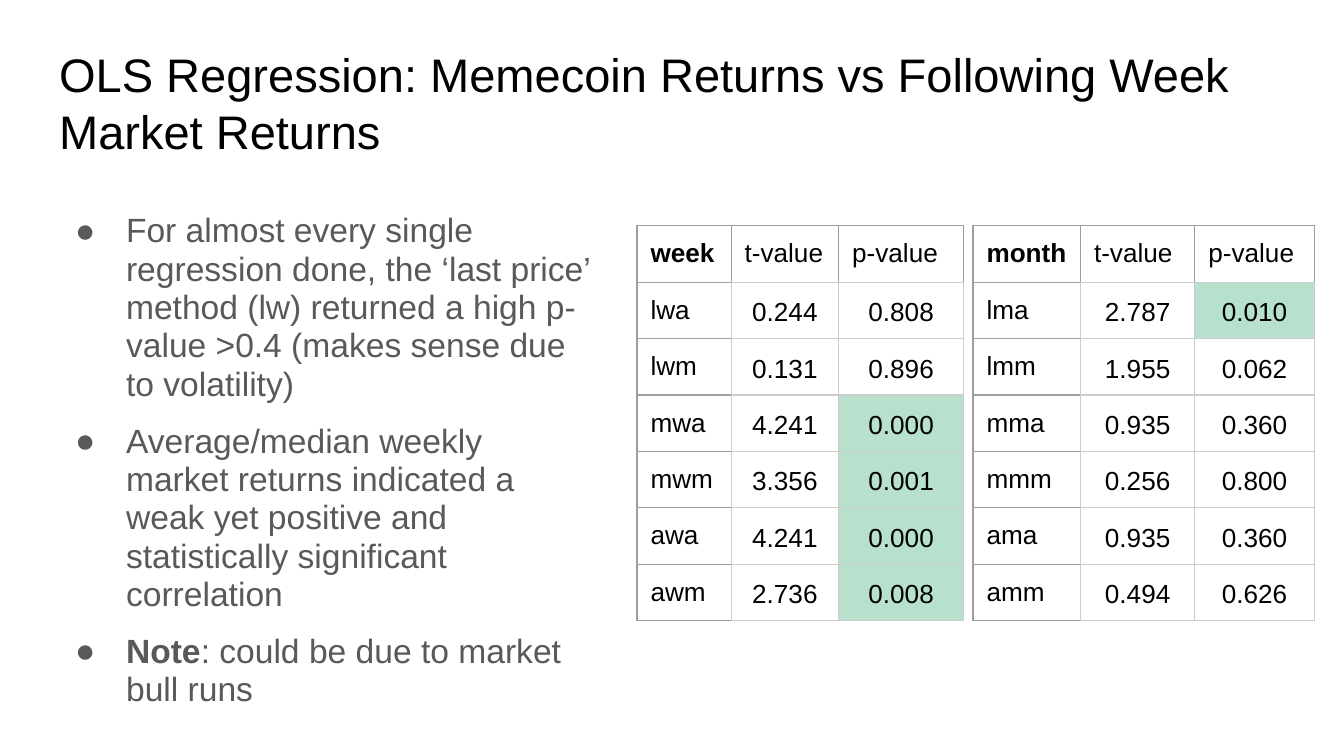
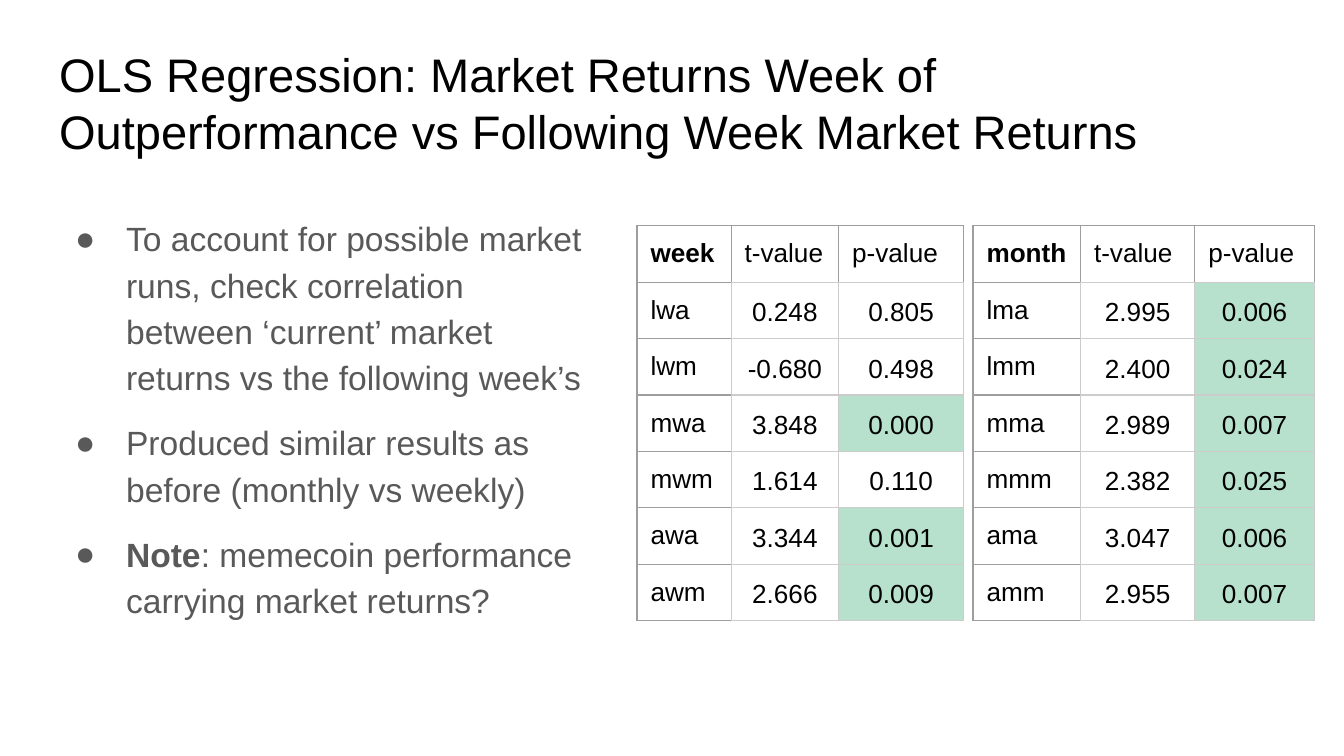
from pptx import Presentation
from pptx.dml.color import RGBColor
from pptx.enum.text import MSO_ANCHOR as Anchor, MSO_AUTO_SIZE as AutoSize, PP_ALIGN as Align
from pptx.oxml import parse_xml
from pptx.oxml.ns import nsdecls
from pptx.util import Inches, Pt

COLORS = {"title": "000000", "body": "595959", "cell": "000000",
          "dark": "9E9E9E", "light": "CCCCCC", "significant": "B7E1CD"}
FONT = "Arial"

# Grid, in inches, on a 16:9 slide
WIDTH = 10
HEIGHT = WIDTH * 9 / 16
LEFT, TITLE_TOP, BODY_TOP, TABLE_TOP = 0.34, 0.24, 1.48, 1.68
ROW = 0.42
PAD, PAD_X, PAD_Y = 0.1, 0.03, 0.02

# Each table: key, left edge, column widths, row labels
TABLES = [
    ("month", 7.24, (0.8, 0.85, 0.89), ("lma", "lmm", "mma", "mmm", "ama", "amm")),
    ("week", 4.74, (0.7, 0.8, 0.93), ("lwa", "lwm", "mwa", "mwm", "awa", "awm")),
]

SLIDES = [
    {"title": "OLS Regression: Memecoin Returns vs Following Week Market Returns",
     "spacing": 0.95,
     "points": [
         ("", "For almost every single regression done, the ‘last price’ method (lw) "
              "returned a high p-value >0.4 (makes sense due to volatility)"),
         ("", "Average/median weekly market returns indicated a weak yet positive "
              "and statistically significant correlation"),
         ("Note", ": could be due to market bull runs")],
     "month": [(2.787, 0.010), (1.955, 0.062), (0.935, 0.360),
               (0.256, 0.800), (0.935, 0.360), (0.494, 0.626)],
     "week": [(0.244, 0.808), (0.131, 0.896), (4.241, 0.000),
              (3.356, 0.001), (4.241, 0.000), (2.736, 0.008)]},
    {"title": "OLS Regression: Market Returns Week of Outperformance "
              "vs Following Week Market Returns",
     "spacing": 1.15,
     "points": [
         ("", "To account for possible market runs, check correlation between "
              "‘current’ market returns vs the following week’s"),
         ("", "Produced similar results as before (monthly vs weekly)"),
         ("Note", ": memecoin performance carrying market returns?")],
     "month": [(2.995, 0.006), (2.400, 0.024), (2.989, 0.007),
               (2.382, 0.025), (3.047, 0.006), (2.955, 0.007)],
     "week": [(0.248, 0.805), (-0.680, 0.498), (3.848, 0.000),
              (1.614, 0.110), (3.344, 0.001), (2.666, 0.009)]},
]


def add_span(para, text, size, color, bold=False):
    span = para.add_run()
    span.text = text
    span.font.name, span.font.size, span.font.bold = FONT, Pt(size), bold
    span.font.color.rgb = RGBColor.from_string(COLORS[color])


def set_frame(frame):
    frame.word_wrap = True
    frame.auto_size = AutoSize.NONE
    frame.vertical_anchor = Anchor.TOP
    frame.margin_left = frame.margin_right = Inches(PAD)
    frame.margin_top = frame.margin_bottom = Inches(PAD)


deck = Presentation()
deck.slide_width, deck.slide_height = Inches(WIDTH), Inches(HEIGHT)

for content in SLIDES:
    page = deck.slides.add_slide(deck.slide_layouts[5])

    # Title
    title = page.shapes.title
    title.left, title.top = Inches(LEFT), Inches(TITLE_TOP)
    title.width, title.height = Inches(WIDTH - 2 * LEFT), Inches(0.63)
    set_frame(title.text_frame)
    para = title.text_frame.paragraphs[0]
    para.alignment = Align.LEFT
    add_span(para, content["title"], 25.2, "title")

    # Bullet points
    box = page.shapes.add_textbox(Inches(LEFT), Inches(BODY_TOP), Inches(4.16), Inches(3.93))
    frame = box.text_frame
    set_frame(frame)
    for index, (lead, text) in enumerate(content["points"]):
        para = frame.add_paragraph() if index else frame.paragraphs[0]
        para.line_spacing = content["spacing"]
        para.space_before = Pt(10 if index else 0)
        para.space_after = Pt(10 if index == len(content["points"]) - 1 else 0)
        props = para._p.get_or_add_pPr()
        props.set("marL", str(Inches(0.5)))
        props.set("indent", str(Inches(-0.38)))
        props.append(parse_xml(f'<a:buClr {nsdecls("a")}><a:srgbClr val="{COLORS["body"]}"/></a:buClr>'))
        props.append(parse_xml(f'<a:buFont {nsdecls("a")} typeface="{FONT}"/>'))
        props.append(parse_xml(f'<a:buChar {nsdecls("a")} char="●"/>'))
        if lead:
            add_span(para, lead, 18, "body", bold=True)
        add_span(para, text, 18, "body")

    # Regression tables
    for key, left, widths, labels in TABLES:
        results = content[key]
        rows = [(key, "t-value", "p-value")]
        rows += [(label, f"{t:.3f}", f"{p:.3f}") for label, (t, p) in zip(labels, results)]
        table = page.shapes.add_table(len(rows), len(widths), Inches(left), Inches(TABLE_TOP),
                                      Inches(sum(widths)), Inches(ROW * len(rows))).table
        table.first_row = table.horz_banding = False
        for column, width in zip(table.columns, widths):
            column.width = Inches(width)

        for r, texts in enumerate(rows):
            table.rows[r].height = Inches(ROW)
            for c, text in enumerate(texts):
                cell = table.cell(r, c)
                para = cell.text_frame.paragraphs[0]
                add_span(para, text, 14, "cell", bold=r == 0 and c == 0)

                # Values are centred; headers and labels sit at the top left
                is_value = r > 0 and c > 0
                cell.margin_left = cell.margin_right = Inches(PAD_X if is_value else PAD)
                cell.margin_top = cell.margin_bottom = Inches(PAD_Y if is_value else PAD)
                cell.vertical_anchor = Anchor.MIDDLE if is_value else Anchor.TOP
                if is_value:
                    para.alignment = Align.CENTER
                    para.line_spacing = 1.15

                # Highlight p-values below 5 %
                if r > 0 and c == 2 and results[r - 1][1] < 0.05:
                    cell.fill.solid()
                    cell.fill.fore_color.rgb = RGBColor.from_string(COLORS["significant"])
                else:
                    cell.fill.background()

                # Dark borders around headers and labels, light towards the values
                dark_sides = "" if is_value else "LRTB"
                if r == 0 and c > 0:
                    dark_sides = "LRT"
                elif r > 0 and c == 0:
                    dark_sides = "LTB"
                for place, side in enumerate("LRTB"):
                    color = COLORS["dark" if side in dark_sides else "light"]
                    cell._tc.get_or_add_tcPr().insert(place, parse_xml(
                        f'<a:ln{side} {nsdecls("a")} w="{Pt(0.75)}"><a:solidFill>'
                        f'<a:srgbClr val="{color}"/></a:solidFill></a:ln{side}>'))

deck.save("out.pptx")
